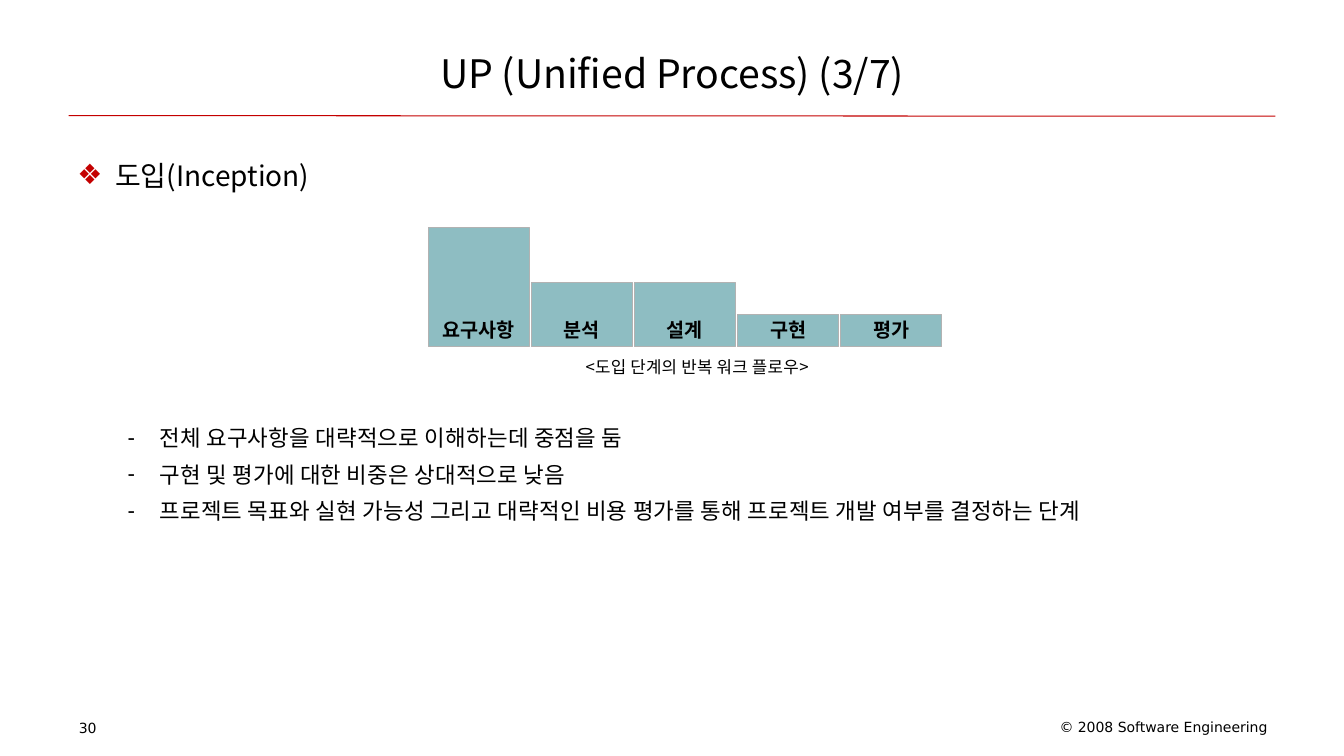
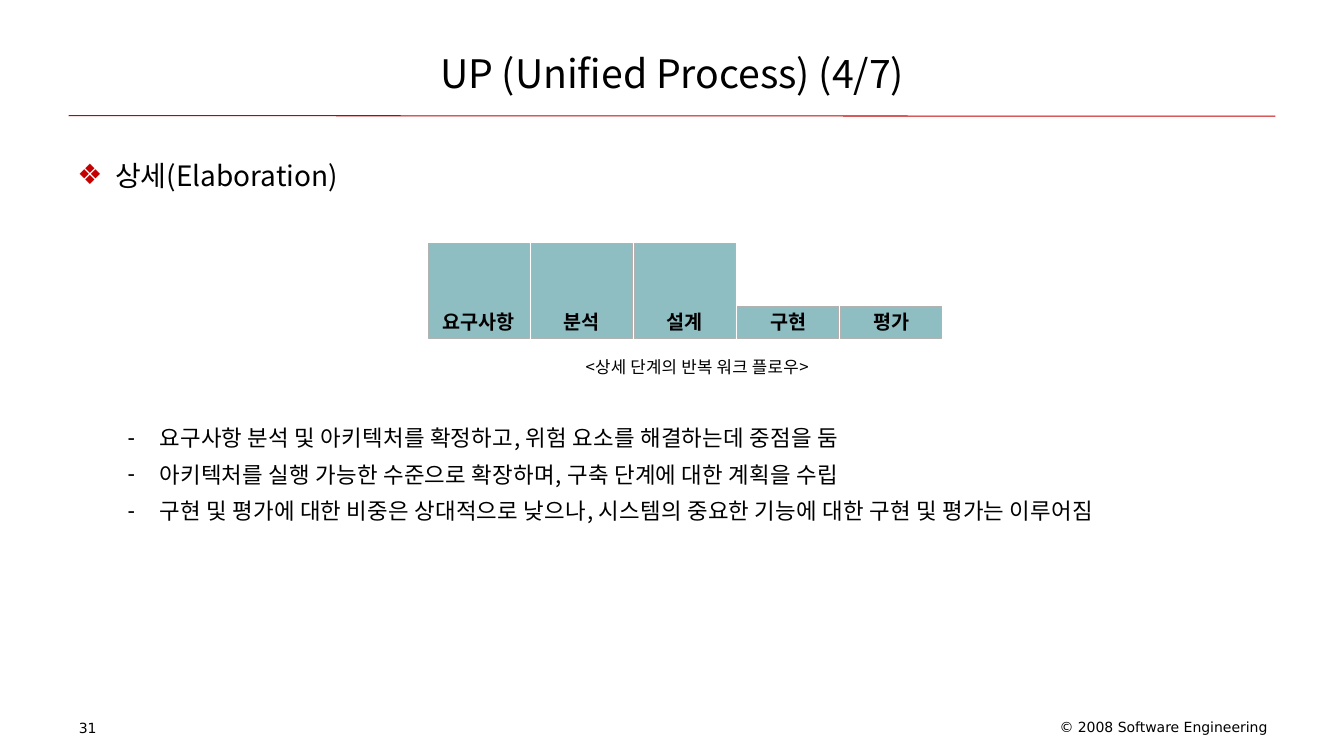
"""Builds two slides on the phases of the Unified Process."""
from dataclasses import dataclass

from lxml import etree
from pptx import Presentation
from pptx.dml.color import RGBColor
from pptx.enum import shapes, text
from pptx.oxml import ns
from pptx.util import Pt

SANS, KOREAN = "DejaVu Sans", "Noto Sans CJK KR"
BLACK, RED, TEAL, GREY = "000000", "C40000", "8EBDC2", "B2B2B2"
LEFT, CENTER, RIGHT = text.PP_ALIGN.LEFT, text.PP_ALIGN.CENTER, text.PP_ALIGN.RIGHT
TASKS = ("요구사항", "분석", "설계", "구현", "평가")
BAR_LEFT, BAR_STEP, BAR_WIDTH = 306, 73.65, 72


@dataclass(frozen=True)
class Style:
    """Look of one kind of paragraph."""
    size: float
    font: str = KOREAN
    align: text.PP_ALIGN = LEFT
    bold: bool = False
    level: int = 0
    margin: float = 0
    hang: float = 0
    lines: float = 1
    before: float = 0
    bullet: str = ""
    tint: str = BLACK
    track: float = 0


@dataclass(frozen=True)
class Phase:
    """Content of one slide."""
    number: int
    title: str
    head: str
    caption: str
    points: tuple[str, ...]
    base: float
    heights: tuple[float, ...]


TITLE = Style(28, align=CENTER)
HEAD = Style(20, margin=27, hang=27, lines=1.4, bullet="❖", tint=RED)
CAPTION = Style(12, align=CENTER, level=1, margin=58.8, hang=22.8, lines=1.2,
                before=114.6, track=0.17)
FIRST = Style(16, level=1, margin=58.8, hang=22.8, lines=1.2, before=30.1,
              bullet="-", track=0.21)
POINT = Style(16, level=1, margin=58.8, hang=22.8, lines=1.2, before=3,
              bullet="-", track=0.21)
LABEL = Style(14, align=CENTER, bold=True)
NUMBER = Style(10, SANS)
NOTICE = Style(10, SANS, RIGHT)

PHASES = (
    Phase(30, "UP (Unified Process) (3/7)", "도입(Inception)", "<도입 단계의 반복 워크 플로우>",
          ("전체 요구사항을 대략적으로 이해하는데 중점을 둠",
           "구현 및 평가에 대한 비중은 상대적으로 낮음",
           "프로젝트 목표와 실현 가능성 그리고 대략적인 비용 평가를 통해 프로젝트 개발 여부를 결정하는 단계"),
          247.6, (85, 45.6, 45.6, 23, 23)),
    Phase(31, "UP (Unified Process) (4/7)", "상세(Elaboration)", "<상세 단계의 반복 워크 플로우>",
          ("요구사항 분석 및 아키텍처를 확정하고, 위험 요소를 해결하는데 중점을 둠",
           "아키텍처를 실행 가능한 수준으로 확장하며, 구축 단계에 대한 계획을 수립",
           "구현 및 평가에 대한 비중은 상대적으로 낮으나, 시스템의 중요한 기능에 대한 구현 및 평가는 이루어짐"),
          241.5, (67.8, 67.8, 67.8, 22.6, 22.6)),
)


def color(code: str) -> RGBColor:
    """Turn a hex string into a colour."""
    return RGBColor.from_string(code)


def place(shape, left: float, top: float, width: float, height: float) -> None:
    """Move and size a shape."""
    shape.left, shape.top = Pt(left), Pt(top)
    shape.width, shape.height = Pt(width), Pt(height)


def write(frame, *items: tuple[str, Style]) -> None:
    """Fill a text frame with styled paragraphs."""
    frame.auto_size = text.MSO_AUTO_SIZE.NONE
    for index, (words, style) in enumerate(items):
        para = frame.add_paragraph() if index else frame.paragraphs[0]
        para.text, para.level, para.alignment = words, style.level, style.align
        para.line_spacing, para.space_before = style.lines, Pt(style.before)
        props = para._p.get_or_add_pPr()
        props.set("marL", str(Pt(style.margin)))
        props.set("indent", str(-Pt(style.hang)))
        if style.bullet:
            tint = etree.SubElement(props, ns.qn("a:buClr"))
            etree.SubElement(tint, ns.qn("a:srgbClr"), val=style.tint)
            etree.SubElement(props, ns.qn("a:buChar"), char=style.bullet)
        else:
            etree.SubElement(props, ns.qn("a:buNone"))
        font = para.font
        font.name, font.size, font.bold = style.font, Pt(style.size), style.bold
        font.color.rgb = color(BLACK)
        marks = props.find(ns.qn("a:defRPr"))
        marks.set("spc", str(round(style.track * 100)))
        etree.SubElement(marks, ns.qn("a:ea"), typeface=style.font)


def add_note(slide, left: float, top: float, width: float, words: str, style: Style) -> None:
    """Add one footer text."""
    box = slide.shapes.add_textbox(Pt(left), Pt(top), Pt(width), Pt(20.5))
    box.text_frame.word_wrap = True
    write(box.text_frame, (words, style))


def add_frame(slide, number: int) -> None:
    """Add the rule and footers that all slides share."""
    rule = slide.shapes.add_connector(
        shapes.MSO_CONNECTOR.STRAIGHT, Pt(49), Pt(82.6), Pt(911), Pt(83))
    line = rule.line
    line.fill.solid()
    line.fill.fore_color.rgb = color(RED)
    line.width = Pt(0.75)
    etree.SubElement(rule._element.spPr, ns.qn("a:effectLst"))
    rule._element.remove(rule._element.find(ns.qn("p:style")))
    add_note(slide, 608.4, 509.8, 304, "© 2008 Software Engineering", NOTICE)
    add_note(slide, 49.2, 510.5, 224, str(number), NUMBER)


def add_bars(slide, phase: Phase) -> None:
    """Draw the workload bars on a common base."""
    for index, (task, height) in enumerate(zip(TASKS, phase.heights)):
        bar = slide.shapes.add_shape(
            shapes.MSO_SHAPE.RECTANGLE, Pt(BAR_LEFT + index * BAR_STEP),
            Pt(phase.base - height), Pt(BAR_WIDTH), Pt(height))
        bar.shadow.inherit = False
        bar.fill.solid()
        bar.fill.fore_color.rgb = color(TEAL)
        bar.line.color.rgb, bar.line.width = color(GREY), Pt(0.75)
        frame = bar.text_frame
        frame.word_wrap, frame.vertical_anchor = False, text.MSO_ANCHOR.BOTTOM
        write(frame, (task, LABEL))


def add_phase(deck, phase: Phase) -> None:
    """Add the slide of one phase."""
    slide = deck.slides.add_slide(deck.slide_layouts[1])
    add_frame(slide, phase.number)
    title, body = slide.shapes.title, slide.placeholders[1]
    place(title, 48, 21.6, 864, 61.2)
    title.text_frame.vertical_anchor = text.MSO_ANCHOR.MIDDLE
    write(title.text_frame, (phase.title, TITLE))
    place(body, 48, 100, 864, 397)
    first, *rest = phase.points
    write(body.text_frame, (phase.head, HEAD), (phase.caption, CAPTION),
          (first, FIRST), *((point, POINT) for point in rest))
    add_bars(slide, phase)


def main() -> None:
    """Build and save the deck."""
    deck = Presentation()
    deck.slide_width, deck.slide_height = Pt(960), Pt(540)
    for phase in PHASES:
        add_phase(deck, phase)
    deck.save("out.pptx")


if __name__ == "__main__":
    main()
